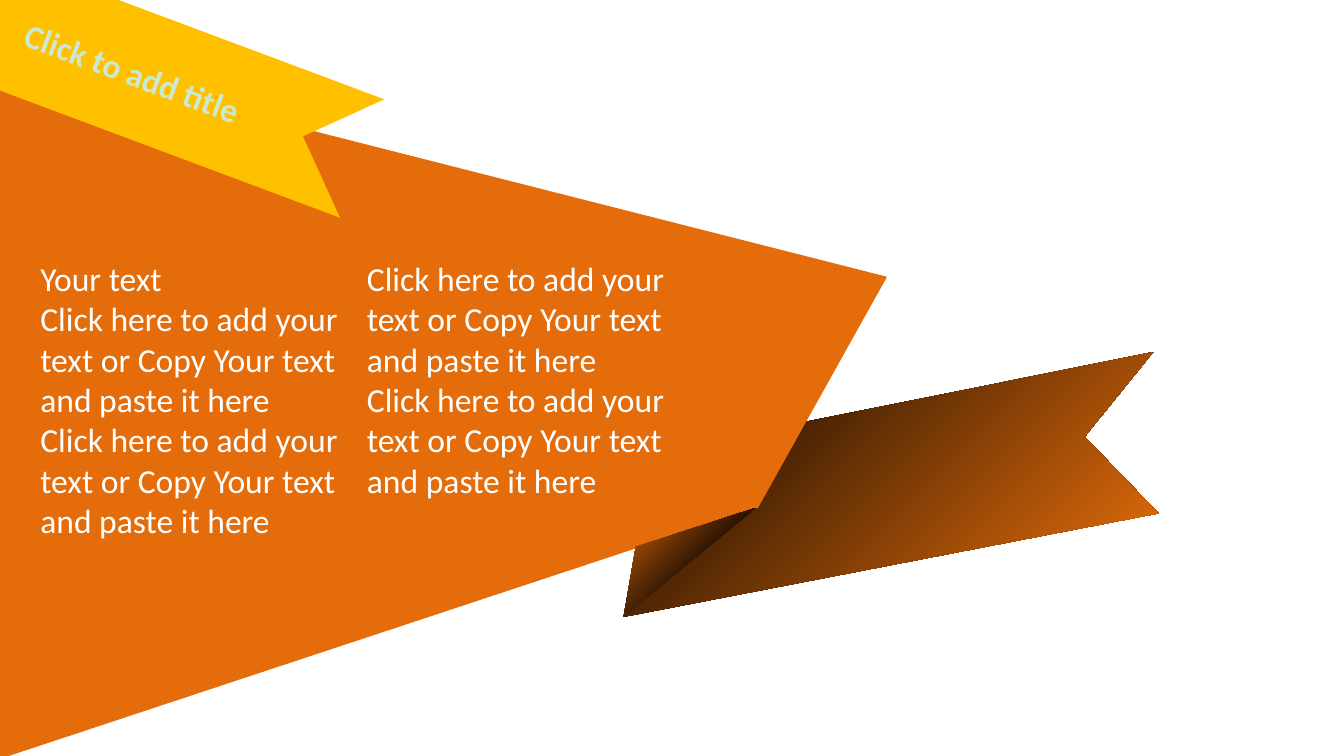
from lxml import etree
from pptx import Presentation
from pptx.dml.color import RGBColor
from pptx.enum import shapes, text
from pptx.oxml.ns import qn
from pptx.util import Inches, Pt

# Content
TITLE = "Click to add title"
PROMPT = ["Click here to add your", "text or Copy Your text", "and paste it here"]
COLUMNS = [  # left, top, width, height, lines
    (0.2, 1.87, 2.5, 2.22, ["Your text"] + PROMPT * 2),
    (2.63, 1.87, 2.5, 1.92, PROMPT * 2),
]

THEME = {
    "font": "Calibri", "size": 18,
    "background": "FFFFFF", "title": "CCE8CF", "body": "FFFFFF",
    "panel": "E46C0A", "banner": "FFC000",
    "tail": [(0, "000000"), (100, "F3740B")],
    "fold": [(0, "D26409"), (68, "000000"), (100, "636363")],
}

# Geometry in inches
TAIL = [(5.99, 3.14), (8.58, 2.62), (8.07, 3.25), (8.62, 3.82), (4.64, 4.59)]
PANEL = [(-0.01, 0.38), (-0.01, 5.65), (5.64, 3.78), (6.6, 2.06)]
FOLD = [(5.62, 3.78), (4.64, 4.59), (4.73, 4.07)]
BANNER = (-0.84, 0.07, 3.65, 0.94)
BANNER_TILT = 20.5


def rgb(value):
    return RGBColor.from_string(value)


def paint(sp, fill):
    """Fill with one colour, or with a 45 degree gradient from a list of stops."""
    sp.shadow.inherit = False
    sp.line.fill.background()
    sp.fill.solid()
    if isinstance(fill, str):
        sp.fill.fore_color.rgb = rgb(fill)
        return
    grad = etree.Element(qn("a:gradFill"), rotWithShape="1")
    stops = etree.SubElement(grad, qn("a:gsLst"))
    for pos, color in fill:
        stop = etree.SubElement(stops, qn("a:gs"), pos=str(pos * 1000))
        etree.SubElement(stop, qn("a:srgbClr"), val=color)
    etree.SubElement(grad, qn("a:lin"), ang=str(45 * 60000), scaled="0")
    solid = sp._element.spPr.find(qn("a:solidFill"))
    solid.getparent().replace(solid, grad)


def add_polygon(s, points, fill):
    pts = [(Inches(x), Inches(y)) for x, y in points]
    builder = s.shapes.build_freeform(*pts[0])
    builder.add_line_segments(pts[1:], close=True)
    paint(builder.convert_to_shape(), fill)


def place(sp, box):
    """Move a placeholder into its box, in front of everything drawn so far."""
    sp.left, sp.top, sp.width, sp.height = map(Inches, box)
    s_tree = sp._element.getparent()
    s_tree.append(sp._element)


def add_run(p, words, color, bold=False):
    r = p.add_run()
    r.text = words
    r.font.name, r.font.size = THEME["font"], Pt(THEME["size"])
    r.font.bold, r.font.color.rgb = bold, rgb(color)


prs = Presentation()
prs.slide_width = Inches(10)
prs.slide_height = prs.slide_width * 9 // 16  # widescreen
s = prs.slides.add_slide(prs.slide_layouts[3])  # title and two bodies
s.background.fill.solid()
s.background.fill.fore_color.rgb = rgb(THEME["background"])
title, *bodies = list(s.placeholders)[:3]

# Ribbon tail and main panel
add_polygon(s, TAIL, THEME["tail"])
add_polygon(s, PANEL, THEME["panel"])

# Tilted banner with its title; the notch faces right
banner = s.shapes.add_shape(shapes.MSO_SHAPE.CHEVRON, *map(Inches, BANNER))
banner.rotation = BANNER_TILT + 180
paint(banner, THEME["banner"])

place(title, BANNER)
title.rotation = BANNER_TILT
tf = title.text_frame
tf.vertical_anchor = text.MSO_ANCHOR.MIDDLE
tf.paragraphs[0].alignment = text.PP_ALIGN.CENTER
add_run(tf.paragraphs[0], TITLE, THEME["title"], bold=True)

# Folded corner
add_polygon(s, FOLD, THEME["fold"])

# Two text columns
for body, (*box, lines) in zip(bodies, COLUMNS):
    place(body, box)
    tf = body.text_frame
    tf.word_wrap = False
    tf.auto_size = text.MSO_AUTO_SIZE.SHAPE_TO_FIT_TEXT
    for i, line in enumerate(lines):
        p = tf.add_paragraph() if i else tf.paragraphs[0]
        pPr = p._p.get_or_add_pPr()
        pPr.set("marL", "0")
        pPr.set("indent", "0")
        etree.SubElement(pPr, qn("a:buNone"))
        p.space_before = Pt(0)
        add_run(p, line, THEME["body"])

prs.save("out.pptx")
